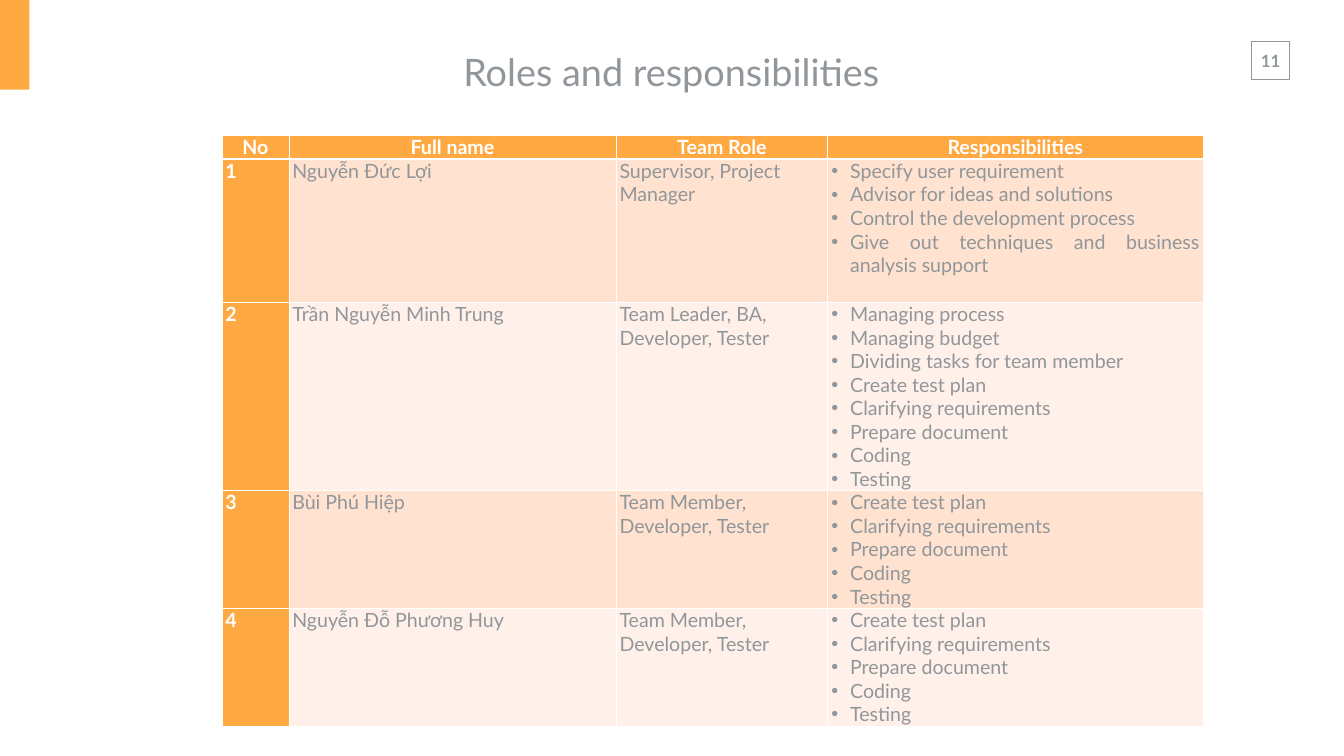
from dataclasses import dataclass

from lxml import etree
from pptx import Presentation
from pptx.dml.color import RGBColor
from pptx.enum.shapes import MSO_SHAPE
from pptx.enum.text import MSO_ANCHOR, MSO_AUTO_SIZE, PP_ALIGN
from pptx.oxml.ns import qn
from pptx.util import Pt

RECTANGLE = MSO_SHAPE.RECTANGLE
MIDDLE = MSO_ANCHOR.MIDDLE
NO_AUTOFIT = MSO_AUTO_SIZE.NONE
LEFT, CENTER, JUSTIFY = PP_ALIGN.LEFT, PP_ALIGN.CENTER, PP_ALIGN.JUSTIFY
TITLE_ONLY = 5


@dataclass(frozen=True)
class Theme:
    font: str = "Lato"
    accent: str = "FFA943"
    text: str = "91969B"
    white: str = "FFFFFF"
    bands: tuple = ("FFE2CF", "FFF1E9")
    title_size: int = 54
    table_size: int = 28
    number_size: int = 24


HEADINGS = ("No", "Full name", "Team Role", "Responsibilities")
COLUMN_WIDTHS = (95.8, 467.3, 302.4, 535.7)
ROW_HEIGHTS = (29.5, 204.5, 263.5, 146.2, 146.2)
DEVELOPER_TASKS = (
    "Create test plan",
    "Clarifying requirements",
    "Prepare document",
    "Coding",
    "Testing",
)
MEMBERS = (
    ("Nguyễn Đức Lợi", "Supervisor, Project Manager", (
        "Specify user requirement",
        "Advisor for ideas and solutions",
        "Control the development process",
        "Give out techniques and business analysis support",
    )),
    ("Trần Nguyễn Minh Trung", "Team Leader, BA, Developer, Tester", (
        "Managing process",
        "Managing budget",
        "Dividing tasks for team member",
        *DEVELOPER_TASKS,
    )),
    ("Bùi Phú Hiệp", "Team Member, Developer, Tester", DEVELOPER_TASKS),
    ("Nguyễn Đỗ Phương Huy", "Team Member, Developer, Tester", DEVELOPER_TASKS),
)


class SlideBuilder:
    def __init__(self, slide, theme):
        self.slide = slide
        self.theme = theme

    def style(self, paragraph, size, color, align, bold=False):
        paragraph.alignment = align
        font = paragraph.font
        font.name = self.theme.font
        font.size = Pt(size)
        font.bold = bold
        font.color.rgb = RGBColor.from_string(color)

    def title(self, wording, left, top, width, height):
        heading = self.slide.shapes.title
        heading.left, heading.top = Pt(left), Pt(top)
        heading.width, heading.height = Pt(width), Pt(height)
        frame = heading.text_frame
        frame.text = wording
        frame.word_wrap = True
        frame.auto_size = NO_AUTOFIT
        frame.vertical_anchor = MIDDLE
        frame.margin_left = frame.margin_right = Pt(19.4)
        frame.margin_top = frame.margin_bottom = Pt(9.4)
        self.style(frame.paragraphs[0], self.theme.title_size, self.theme.text, CENTER)

    def rectangle(self, left, top, width, height, fill=None, line=None):
        box = self.slide.shapes.add_shape(
            RECTANGLE, Pt(left), Pt(top), Pt(width), Pt(height))
        box.shadow.inherit = False
        if fill:
            box.fill.solid()
            box.fill.fore_color.rgb = RGBColor.from_string(fill)
        else:
            box.fill.background()
        if line:
            box.line.color.rgb = RGBColor.from_string(line)
            box.line.width = Pt(1)
        else:
            box.line.fill.background()

    def page_number(self, number, left, top, width, height):
        label = self.slide.shapes.add_textbox(Pt(left), Pt(top), Pt(width), Pt(height))
        frame = label.text_frame
        frame.text = number
        frame.word_wrap = False
        frame.margin_left = frame.margin_right = Pt(14.4)
        frame.margin_top = frame.margin_bottom = Pt(7.2)
        self.style(frame.paragraphs[0], self.theme.number_size, self.theme.text, CENTER, True)

    def table(self, left, top, widths, heights):
        table = self.slide.shapes.add_table(
            len(heights), len(widths), Pt(left), Pt(top),
            Pt(sum(widths)), Pt(sum(heights))).table
        table.horz_banding = False
        for column, width in zip(table.columns, widths):
            column.width = Pt(width)
        for row, height in zip(table.rows, heights):
            row.height = Pt(height)
        return table

    def cell(self, cell, lines, fill, color, align, bold=False, bulleted=False,
             top_line=1, bottom_line=1):
        cell.fill.solid()
        cell.fill.fore_color.rgb = RGBColor.from_string(fill)
        cell.margin_left = cell.margin_right = Pt(5)
        cell.margin_top = cell.margin_bottom = 0
        cell.text_frame.text = "\n".join(lines)
        for paragraph in cell.text_frame.paragraphs:
            self.style(paragraph, self.theme.table_size, color, align, bold)
            if bulleted:
                self.bullet(paragraph)
            else:
                paragraph.space_before = Pt(6)
        self.borders(cell, {"lnL": 1, "lnR": 1, "lnT": top_line, "lnB": bottom_line})

    def bullet(self, paragraph):
        properties = paragraph._p.get_or_add_pPr()
        properties.set("marL", str(Pt(27)))
        properties.set("indent", str(-Pt(27)))
        marks = (("a:buFont", "typeface", "Arial"), ("a:buChar", "char", "•"))
        for position, (tag, attribute, value) in enumerate(marks):
            mark = etree.Element(qn(tag), {attribute: value})
            properties.insert(position, mark)

    def borders(self, cell, widths):
        properties = cell._tc.get_or_add_tcPr()
        for position, (side, width) in enumerate(widths.items()):
            line = etree.Element(qn(f"a:{side}"), {"w": str(Pt(width))})
            fill = etree.SubElement(line, qn("a:solidFill"))
            etree.SubElement(fill, qn("a:srgbClr"), {"val": self.theme.white})
            properties.insert(position, line)


def main():
    theme = Theme()
    deck = Presentation()
    deck.slide_width, deck.slide_height = Pt(1919.52), Pt(1080)
    builder = SlideBuilder(
        deck.slides.add_slide(deck.slide_layouts[TITLE_ONLY]), theme)

    builder.page_number("11", 1785.6, 64.8, 58.3, 43.9)
    builder.rectangle(1787.8, 59, 54, 54, line=theme.text)
    builder.rectangle(0, 0, 41.8, 128.2, fill=theme.accent)
    builder.title("Roles and responsibilities", 586.8, 59.8, 743.8, 85)

    roles = builder.table(316.8, 193.7, COLUMN_WIDTHS, ROW_HEIGHTS)
    for column, heading in enumerate(HEADINGS):
        builder.cell(roles.cell(0, column), [heading], theme.accent, theme.white,
                     CENTER, bold=True, bottom_line=3)
    for number, (name, role, tasks) in enumerate(MEMBERS, start=1):
        band = theme.bands[(number - 1) % len(theme.bands)]
        top_line = 3 if number == 1 else 1
        builder.cell(roles.cell(number, 0), [str(number)], theme.accent, theme.white,
                     JUSTIFY, bold=True, top_line=top_line)
        builder.cell(roles.cell(number, 1), [name], band, theme.text, JUSTIFY,
                     top_line=top_line)
        builder.cell(roles.cell(number, 2), [role], band, theme.text, LEFT,
                     top_line=top_line)
        builder.cell(roles.cell(number, 3), tasks, band, theme.text, JUSTIFY,
                     bulleted=True, top_line=top_line)

    deck.save("out.pptx")


if __name__ == "__main__":
    main()
